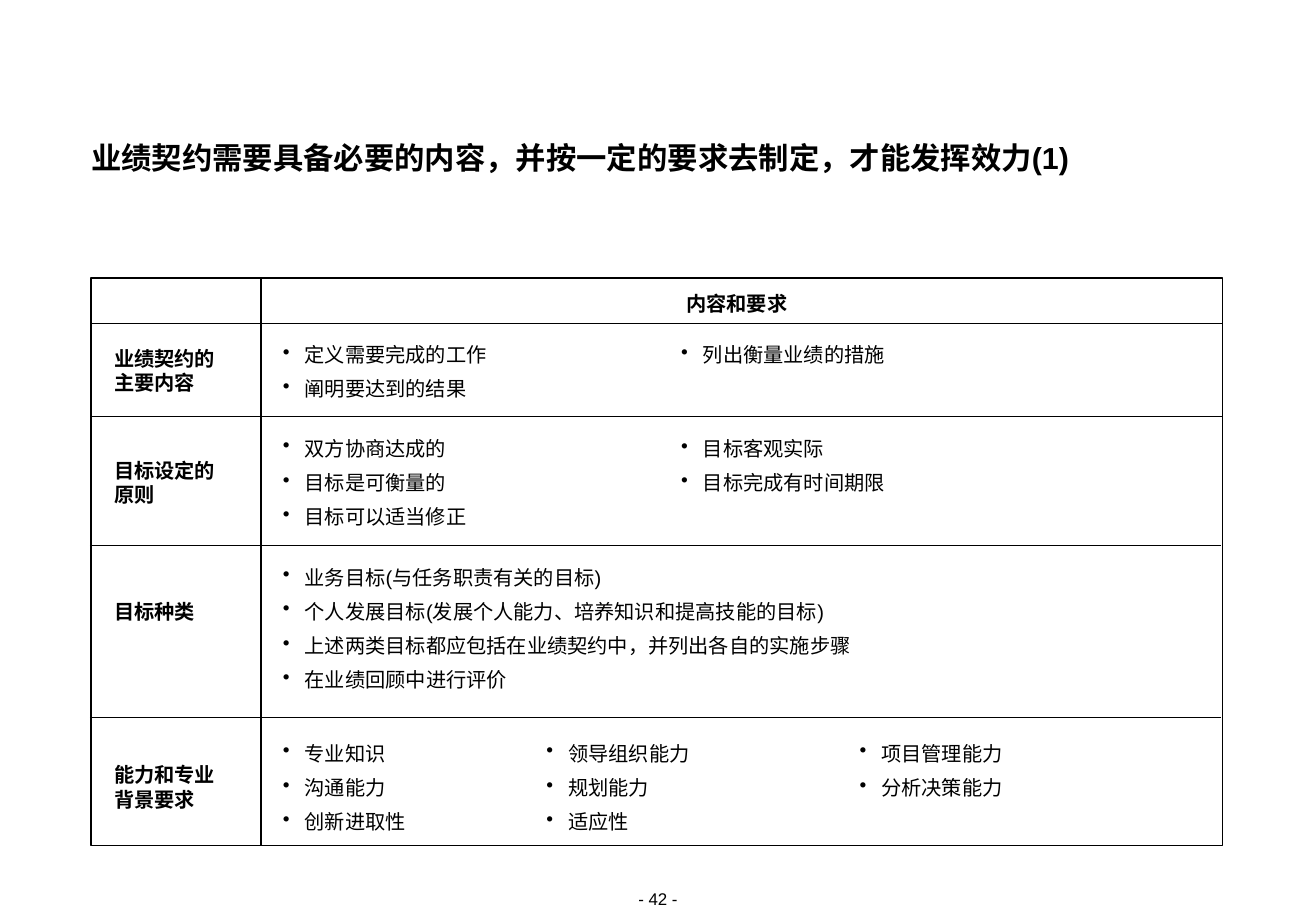
from lxml.etree import SubElement
from pptx import Presentation
from pptx.dml.color import RGBColor
from pptx.enum.shapes import MSO_CONNECTOR as CONN, MSO_SHAPE as SHAPE
from pptx.enum.text import MSO_AUTO_SIZE as FIT, PP_ALIGN as ALIGN
from pptx.oxml.ns import qn
from pptx.util import Inches, Pt

BLACK = RGBColor(0x00, 0x00, 0x00)

LEFT, TOP, WIDTH, HEIGHT = 0.75, 2.29, 9.32, 4.67
DIVIDER_X = 2.15
LABEL_X, LABEL_W = 0.94, 1
RULES = [(0.75, 2.66), (0.75, 3.43), (0.74, 4.49), (0.74, 5.91)]

ROWS = [
    (2.85, ["业绩契约的", "主要内容"], 2.78, [
        (2.32, 3.5, ["定义需要完成的工作", "阐明要达到的结果"]),
        (5.6, 3.5, ["列出衡量业绩的措施"]),
    ]),
    (3.77, ["目标设定的", "原则"], 3.55, [
        (2.32, 3.5, ["双方协商达成的", "目标是可衡量的", "目标可以适当修正"]),
        (5.6, 3.5, ["目标客观实际", "目标完成有时间期限"]),
    ]),
    (4.93, ["目标种类"], 4.61, [
        (2.32, 7.61, ["业务目标(与任务职责有关的目标)",
                      "个人发展目标(发展个人能力、培养知识和提高技能的目标)",
                      "上述两类目标都应包括在业绩契约中，并列出各自的实施步骤",
                      "在业绩回顾中进行评价"]),
    ]),
    (6.28, ["能力和专业", "背景要求"], 6.06, [
        (2.32, 2.1, ["专业知识", "沟通能力", "创新进取性"]),
        (4.49, 2.25, ["领导组织能力", "规划能力", "适应性"]),
        (7.07, 2.87, ["项目管理能力", "分析决策能力"]),
    ]),
]


class SlideBuilder:
    font = {"name": "Arial", "size": Pt(12), "bold": False}

    def __init__(self, prs):
        self.s = prs.slides.add_slide(prs.slide_layouts[6])

    def text(self, x, y, w, h, lines, bullet=False, para=None, **font):
        tf = self.s.shapes.add_textbox(*map(Inches, (x, y, w, h))).text_frame
        frame = dict.fromkeys(
            ("margin_left", "margin_top", "margin_right", "margin_bottom"), 0)
        frame |= {"word_wrap": True, "auto_size": FIT.SHAPE_TO_FIT_TEXT}
        for name, value in frame.items():
            setattr(tf, name, value)
        for i, line in enumerate(lines):
            p = tf.paragraphs[0] if i == 0 else tf.add_paragraph()
            if bullet:
                self.mark(p)
                if i:
                    p.space_before = Pt(3)
            for name, value in (para or {}).items():
                setattr(p, name, value)
            r = p.add_run()
            r.text = line
            for name, value in (self.font | font).items():
                setattr(r.font, name, value)
            r.font.color.rgb = BLACK

    def mark(self, p):
        pPr = p._p.get_or_add_pPr()
        pPr.set("marL", str(Inches(0.19)))
        pPr.set("indent", str(Inches(-0.18)))
        SubElement(pPr, qn("a:buChar"), char="•")
        p.level = 1
        p.line_spacing = 1.2

    def bullets(self, x, y, w, lines):
        self.text(x, y, w, 0.28 * len(lines) - 0.04, lines, bullet=True)

    def label(self, x, y, w, lines, **para):
        self.text(x, y, w, 0.2 * len(lines), lines, para=para, bold=True)

    def frame(self, x, y, w, h, weight):
        sp = self.s.shapes.add_shape(SHAPE.RECTANGLE, *map(Inches, (x, y, w, h)))
        sp.shadow.inherit = False
        sp.fill.background()
        self.stroke(sp, weight)

    def line(self, x1, y1, x2, y2, weight):
        ln = self.s.shapes.add_connector(
            CONN.STRAIGHT, *map(Inches, (x1, y1, x2, y2)))
        SubElement(ln._element.spPr, qn("a:effectLst"))
        self.stroke(ln, weight)

    def stroke(self, shape, weight):
        shape.line.color.rgb = BLACK
        shape.line.width = Pt(weight)


def main():
    prs = Presentation()
    prs.slide_width, prs.slide_height = Inches(10.84), Inches(7.5)
    b = SlideBuilder(prs)

    b.text(4.85, 7.32, 1.14, 0.17, ["- 42 -"],
           para={"alignment": ALIGN.CENTER}, size=Pt(10))
    b.text(0.75, 1.17, 9.33, 0.28,
           ["业绩契约需要具备必要的内容，并按一定的要求去制定，才能发挥效力(1)"],
           para={"line_spacing": Pt(20)}, size=Pt(18), bold=True)

    b.frame(LEFT, TOP, WIDTH, HEIGHT, 1)
    b.line(DIVIDER_X, TOP, DIVIDER_X, TOP + HEIGHT, 1)
    for x, y in RULES:
        b.line(x, y, x + WIDTH, y, 0.5)

    b.label(5.57, 2.4, 1, ["内容和要求"], alignment=ALIGN.CENTER)
    for label_y, label, bullet_y, columns in ROWS:
        b.label(LABEL_X, label_y, LABEL_W, label)
        for x, w, lines in columns:
            b.bullets(x, bullet_y, w, lines)

    prs.save("out.pptx")


if __name__ == "__main__":
    main()
